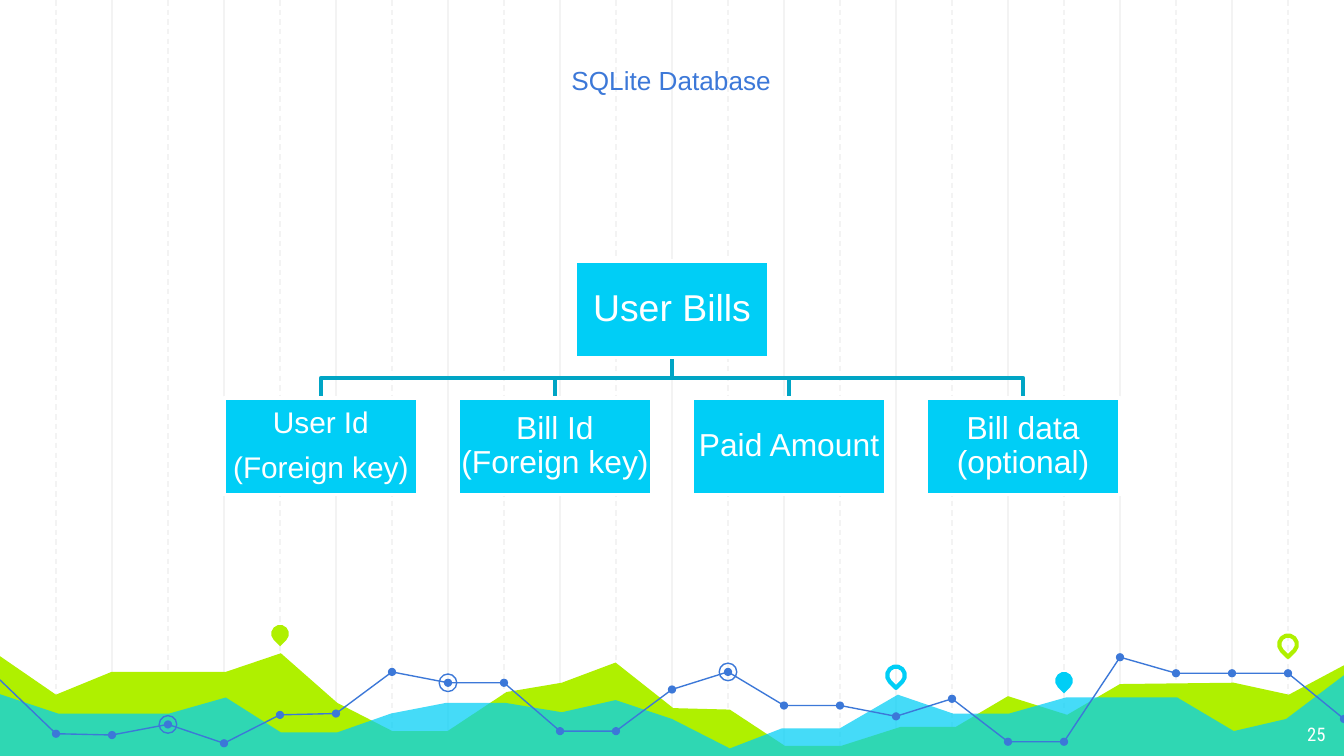
from lxml import etree
from pptx import Presentation
from pptx.dml.color import RGBColor
from pptx.enum.dml import MSO_LINE
from pptx.enum.shapes import MSO_CONNECTOR, MSO_SHAPE
from pptx.enum.text import MSO_ANCHOR, MSO_AUTO_SIZE, PP_ALIGN
from pptx.oxml.ns import qn
from pptx.util import Pt

STRAIGHT = MSO_CONNECTOR.STRAIGHT
DASH = MSO_LINE.DASH
OVAL, TEARDROP, RECTANGLE = MSO_SHAPE.OVAL, MSO_SHAPE.TEAR, MSO_SHAPE.RECTANGLE
CENTER, RIGHT = PP_ALIGN.CENTER, PP_ALIGN.RIGHT
TOP, MIDDLE, BOTTOM = MSO_ANCHOR.TOP, MSO_ANCHOR.MIDDLE, MSO_ANCHOR.BOTTOM
FIXED_SIZE = MSO_AUTO_SIZE.NONE

WIDTH, HEIGHT, STEP = 720, 405, 30
GREEN, CYAN, TEAL, BLUE = "AFF000", "00CEF6", "00A5C5", "3C78D8"
GREY, WHITE = "F3F3F3", "FFFFFF"


def paint(shape, fill=None, line=None, weight=0.75):
    """Set fill and outline from hex strings; None means no paint."""
    shape.shadow.inherit = False
    for part, color in ((shape.fill, fill), (shape.line.fill, line)):
        if color:
            part.solid()
            part.fore_color.rgb = RGBColor.from_string(color)
        else:
            part.background()
    if line:
        shape.line.width = Pt(weight)
    return shape


def write(shape, text, size, color, font="Arial", align=CENTER, anchor=MIDDLE,
          inset=7.2, spacing=None, after=0):
    frame = shape.text_frame
    frame.text = text
    frame.word_wrap = True
    frame.auto_size = FIXED_SIZE
    frame.vertical_anchor = anchor
    frame.margin_left = frame.margin_right = Pt(inset)
    frame.margin_top = frame.margin_bottom = Pt(inset)
    for para in frame.paragraphs:
        para.alignment = align
        para.line_spacing = spacing
        para.space_after = Pt(after)
        for span in para.runs:
            span.font.name = font
            span.font.size = Pt(size)
            span.font.color.rgb = RGBColor.from_string(color)


deck = Presentation()
deck.slide_width, deck.slide_height = Pt(WIDTH), Pt(HEIGHT)
page = deck.slides.add_slide(deck.slide_layouts[5])
shapes = page.shapes

# Vertical grid: solid lines on even steps, dashed lines on odd ones
for start, dash in ((2, None), (1, DASH)):
    for column in range(start, WIDTH // STEP, 2):
        x = Pt(column * STEP)
        grid_line = shapes.add_connector(STRAIGHT, x, 0, x, Pt(HEIGHT))
        grid_line.line.color.rgb = RGBColor.from_string(GREY)
        grid_line.line.width = Pt(0.75)
        grid_line.line.dash_style = dash
        properties = grid_line.element.find(qn("p:spPr"))
        etree.SubElement(properties, qn("a:effectLst"))

# Area bands along the bottom
green_band = [
    (-1.4, 350.6), (30, 372.2), (59.8, 360), (121, 360), (150.5, 350),
    (180.7, 376.6), (210.2, 391.7), (239.8, 391.7), (271.4, 370.8), (301, 365.8),
    (329.8, 355), (360.7, 379.4), (391, 380.2), (420.5, 399.6), (450.7, 399.6),
    (482.4, 389.5), (512, 389.5), (540, 373), (571.7, 383), (600, 366.5),
    (661, 365.8), (690.5, 372.2), (721.4, 355.7), (721.4, 406), (-2.2, 406)]
cyan_band = [
    (-1.4, 371.5), (31, 382.3), (90.7, 382.3), (121, 373.7), (150.5, 392.4),
    (180.7, 392.4), (209.5, 382.3), (239, 376.6), (270.7, 376.6), (301, 381.6),
    (329.8, 375.1), (360, 385.2), (391, 401), (419, 390.2), (450, 390.2),
    (481, 372.2), (510.5, 382.3), (540.7, 382.3), (571, 373.7), (630.7, 373.7),
    (661, 391.7), (689, 385.2), (721.4, 360.7), (721.4, 406.8), (-2.2, 406.8)]
for points, color in ((green_band, GREEN), (cyan_band, CYAN)):
    corners = [(Pt(x), Pt(y)) for x, y in points]
    builder = shapes.build_freeform(*corners[0])
    builder.add_line_segments(corners[1:], close=True)
    band = paint(builder.convert_to_shape(), fill=color)
tint = band.element.find(".//" + qn("a:srgbClr"))
etree.SubElement(tint, qn("a:alpha"), val="73000")

# Map pins: centre, fill, outline
for x, y, fill, line in ((150, 339.5, GREEN, None), (480, 361.8, None, CYAN),
                         (570, 364.7, CYAN, None), (690, 345.2, None, GREEN)):
    pin = shapes.add_shape(TEARDROP, Pt(x - 4.75), Pt(y - 4.75), Pt(9.5), Pt(9.5))
    pin.rotation = 135
    paint(pin, fill, line, 2.25)

# Line graph, one reading per grid step
heights = [364.3, 393.1, 393.8, 388.1, 398.2, 383, 382.3, 360, 365.8, 365.8,
           391.7, 391.7, 369.4, 360, 378, 378, 383.8, 374.4, 397.4, 397.4,
           352.1, 360.7, 360.7, 360.7, 385.2]
readings = [(column * STEP, y) for column, y in enumerate(heights)]
for first, last in ((0, 11), (11, 20), (20, 24)):
    corners = [(Pt(x), Pt(y)) for x, y in readings[first:last + 1]]
    builder = shapes.build_freeform(*corners[0])
    builder.add_line_segments(corners[1:], close=False)
    paint(builder.convert_to_shape(), line=BLUE)
for x, y in readings[1:]:
    dot = shapes.add_shape(OVAL, Pt(x - 2.2), Pt(y - 2.2), Pt(4.4), Pt(4.4))
    paint(dot, fill=BLUE)
for column in (3, 8, 13):
    x, y = readings[column]
    ring = shapes.add_shape(OVAL, Pt(x - 4.7), Pt(y - 4.7), Pt(9.4), Pt(9.4))
    paint(ring, line=BLUE)

number_box = shapes.add_textbox(Pt(674), Pt(380.2), Pt(43.2), Pt(24.8))
write(number_box, "25", 10, WHITE, font="Roboto Condensed", align=RIGHT, anchor=TOP)

# Table hierarchy: one root above four fields
BOX_WIDTH, BOX_HEIGHT, BOX_STEP = 103.6, 51.8, 125.4
ROOT_X, ROOT_TOP, FIELD_TOP = WIDTH / 2, 139.8, 213.2
root_bottom = ROOT_TOP + BOX_HEIGHT
branch_y = (root_bottom + FIELD_TOP) / 2
fields = [("User Id\n(Foreign key)", 16), ("Bill Id (Foreign key)", 17),
          ("Paid Amount", 17), ("Bill data (optional)", 17)]
nodes = [("User Bills", 20, ROOT_X, ROOT_TOP)]
for index, (text, size) in enumerate(fields):
    x = ROOT_X + (index - 1.5) * BOX_STEP
    nodes.append((text, size, x, FIELD_TOP))
    builder = shapes.build_freeform(Pt(ROOT_X), Pt(root_bottom))
    builder.add_line_segments([(Pt(ROOT_X), Pt(branch_y)), (Pt(x), Pt(branch_y)),
                               (Pt(x), Pt(FIELD_TOP))], close=False)
    paint(builder.convert_to_shape(), line=TEAL, weight=2)
for text, size, x, top in nodes:
    box = shapes.add_shape(RECTANGLE, Pt(x - BOX_WIDTH / 2), Pt(top),
                           Pt(BOX_WIDTH), Pt(BOX_HEIGHT))
    paint(box, CYAN, WHITE, 2)
    write(box, text, size, WHITE, inset=0.7, spacing=0.9, after=0.4 * size)

# Title, brought in front of the grid
title = shapes.title
title.left, title.top, title.width, title.height = Pt(84.2), Pt(26), Pt(550.8), Pt(32.4)
write(title, "SQLite Database", 14, BLUE, anchor=BOTTOM)
title.element.getparent().append(title.element)

deck.save("out.pptx")
